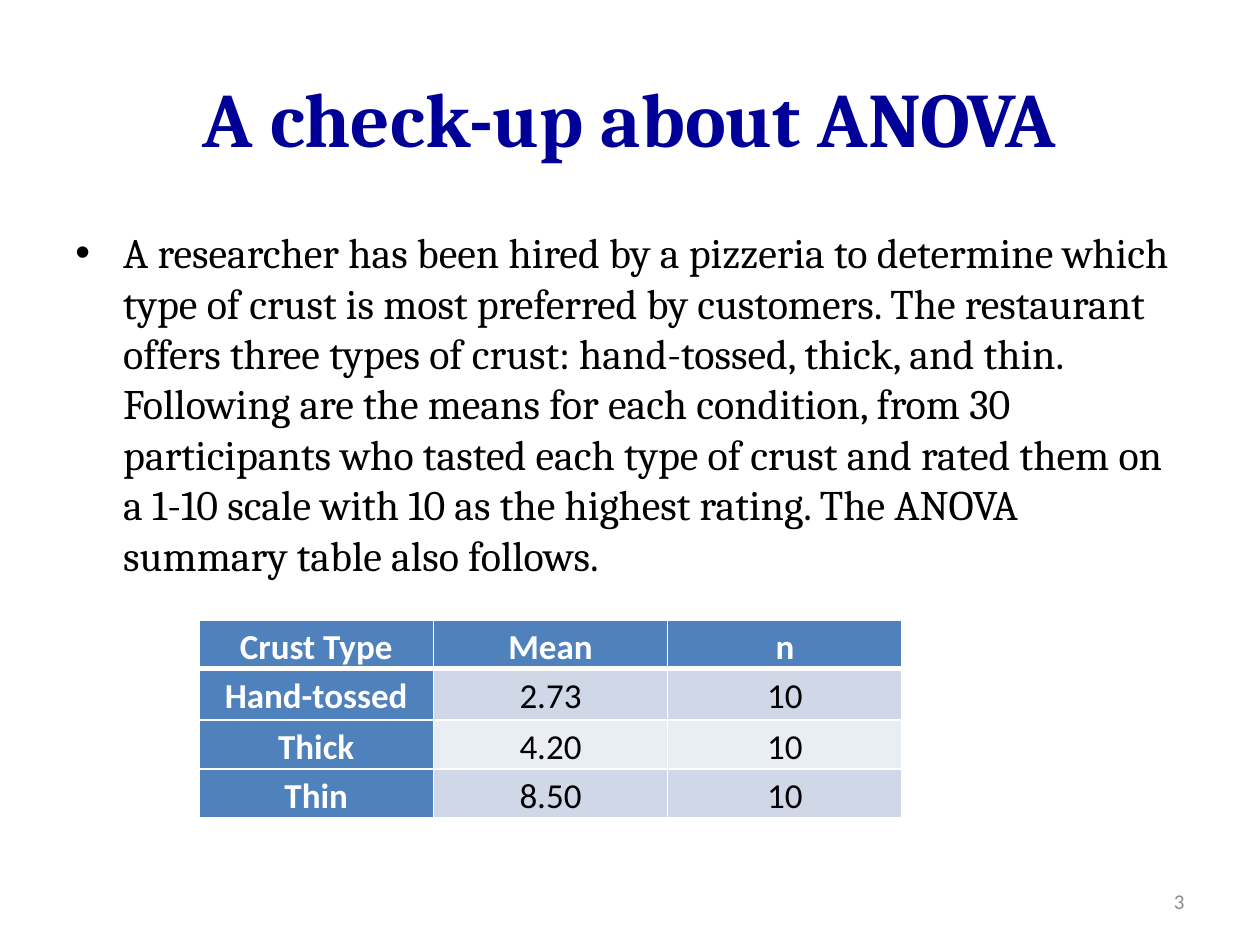
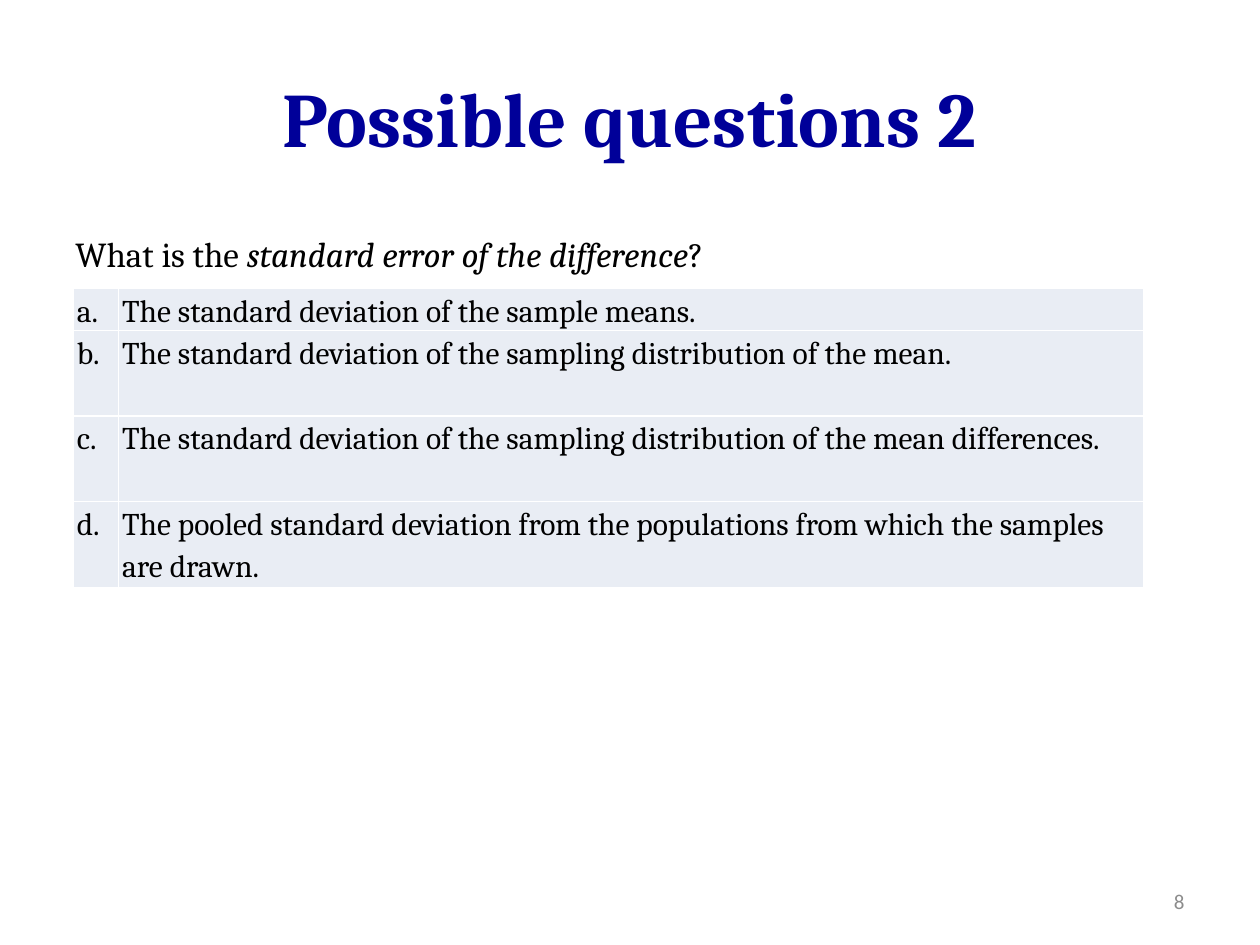
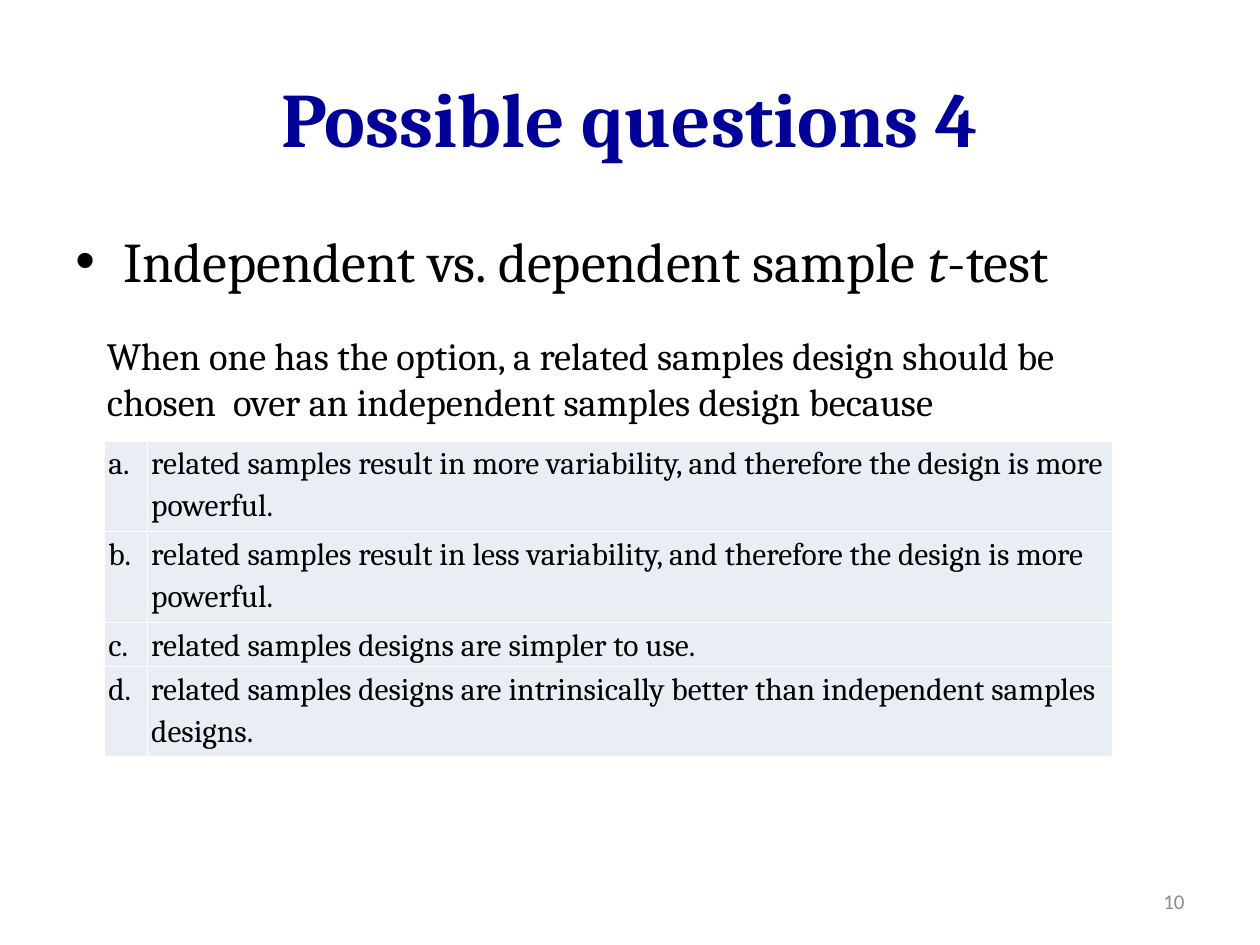
import pptx
import pptx.dml.color
import pptx.enum.text
import pptx.oxml
import pptx.oxml.ns
import pptx.util

RGBColor = pptx.dml.color.RGBColor
Inches = pptx.util.Inches
Pt = pptx.util.Pt
ALIGN = pptx.enum.text.PP_ALIGN
ANCHOR = pptx.enum.text.MSO_ANCHOR

NAVY = RGBColor(0x00, 0x00, 0x99)
BLACK = RGBColor(0x00, 0x00, 0x00)
WHITE = RGBColor(0xFF, 0xFF, 0xFF)
GRAY = RGBColor(0x8C, 0x8C, 0x8C)
HEADER_BLUE = RGBColor(0x4F, 0x81, 0xBD)
BAND_DARK = RGBColor(0xD0, 0xD8, 0xE8)
BAND_LIGHT = RGBColor(0xE9, 0xED, 0xF4)

SERIF, SANS = "Cambria", "Calibri"
WIDTH, HEIGHT = 10, 7.5
MARGIN = WIDTH / 20
TITLE_BOX = (MARGIN, 0.3, WIDTH - 2 * MARGIN, 1.25)
BODY_BOX = (MARGIN, 1.75, WIDTH - 2 * MARGIN, 4.95)
NUMBER_BOX = (7.17, 6.95, 2.33, 0.4)
BULLET_INDENT = 0.38

# Text between asterisks is italic.
SLIDES = [
    {
        "title": "A check-up about ANOVA",
        "number": 3,
        "bullet": (
            "A researcher has been hired by a pizzeria to determine which type of crust "
            "is most preferred by customers. The restaurant offers three types of crust: "
            "hand-tossed, thick, and thin. Following are the means for each condition, "
            "from 30 participants who tasted each type of crust and rated them on a 1-10 "
            "scale with 10 as the highest rating. The ANOVA summary table also follows.",
            24,
        ),
        "means": {
            "corner": (1.58, 4.92),
            "columns": [1.86] * 3,
            "rows": [0.38, 0.41, 0.39, 0.39],
            "cells": [
                ("Crust Type", "Mean", "n"),
                ("Hand-tossed", "2.73", "10"),
                ("Thick", "4.20", "10"),
                ("Thin", "8.50", "10"),
            ],
        },
    },
    {
        "title": "Possible questions 2",
        "number": 8,
        "question": ("What is the *standard error of the difference*?", 20,
                     (MARGIN, 1.79, 5.25, 0.44)),
        "answers": {
            "corner": (0.58, 2.29),
            "columns": [0.36, 8.14],
            "rows": [0.33, 0.68, 0.68, 0.68],
            "cells": [
                ("a.", "The standard deviation of the sample means."),
                ("b.", "The standard deviation of the sampling distribution of the mean."),
                ("c.", "The standard deviation of the sampling distribution of the mean "
                       "differences."),
                ("d.", "The pooled standard deviation from the populations from which the "
                       "samples are drawn."),
            ],
        },
    },
    {
        "title": "Possible questions 4",
        "number": 10,
        "bullet": ("Independent vs. dependent sample *t*-test", 32),
        "question": ("When one has the option, a related samples design should be chosen  "
                     "over an independent samples design because", 22,
                     (0.75, 2.58, 8.17, 0.84)),
        "answers": {
            "corner": (0.83, 3.5),
            "columns": [0.34, 7.66],
            "rows": [0.72, 0.72, 0.35, 0.72],
            "cells": [
                ("a.", "related samples result in more variability, and therefore the "
                       "design is more powerful."),
                ("b.", "related samples result in less variability, and therefore the "
                       "design is more powerful."),
                ("c.", "related samples designs are simpler to use."),
                ("d.", "related samples designs are intrinsically better than independent "
                       "samples designs."),
            ],
        },
    },
]


def set_font(paragraph, name, size, color, bold=False):
    font = paragraph.font
    font.name, font.size, font.bold = name, Pt(size), bold
    font.color.rgb = color


def add_text(slide, box, text, size, name=SERIF, color=BLACK, anchor=ANCHOR.MIDDLE):
    """Add a wrapped text box and return its only paragraph."""
    frame = slide.shapes.add_textbox(*map(Inches, box)).text_frame
    frame.word_wrap = True
    frame.vertical_anchor = anchor
    paragraph = frame.paragraphs[0]
    set_font(paragraph, name, size, color)
    for position, part in enumerate(text.split("*")):
        run = paragraph.add_run()
        run.text = part
        if position % 2:
            run.font.italic = True
    return paragraph


def add_bullet(slide, text, size):
    paragraph = add_text(slide, BODY_BOX, text, size, anchor=ANCHOR.TOP)
    paragraph.space_before = Pt(0.2 * size)
    properties = paragraph._p.get_or_add_pPr()
    properties.set("marL", str(Inches(BULLET_INDENT)))
    properties.set("indent", str(-Inches(BULLET_INDENT)))
    namespace = pptx.oxml.ns.nsdecls("a")
    for xml in (f'<a:buFont {namespace} typeface="Arial"/>',
                f'<a:buChar {namespace} char="•"/>'):
        properties.insert_element_before(pptx.oxml.parse_xml(xml), "a:tabLst", "a:defRPr")


def set_borders(cell, widths):
    """Draw white borders; widths are points for left, right, top and bottom."""
    properties = cell._tc.get_or_add_tcPr()
    for position, (side, width) in enumerate(zip("LRTB", widths)):
        properties.insert(position, pptx.oxml.parse_xml(
            f'<a:ln{side} {pptx.oxml.ns.nsdecls("a")} w="{Pt(width)}">'
            f'<a:solidFill><a:srgbClr val="{WHITE}"/></a:solidFill></a:ln{side}>'))


def add_table(slide, content, style_cell, inset):
    """style_cell(row, column) gives fill, font, size, colour, bold, alignment, borders."""
    columns, rows = content["columns"], content["rows"]
    box = (*content["corner"], sum(columns), sum(rows))
    table = slide.shapes.add_table(len(rows), len(columns), *map(Inches, box)).table
    for column, width in zip(table.columns, columns):
        column.width = Inches(width)
    for row, height in zip(table.rows, rows):
        row.height = Inches(height)
    for row, texts in enumerate(content["cells"]):
        for column, text in enumerate(texts):
            fill, name, size, color, bold, alignment, borders = style_cell(row, column)
            cell = table.cell(row, column)
            cell.margin_left = cell.margin_right = Inches(inset)
            cell.margin_top = cell.margin_bottom = 0
            cell.fill.solid()
            cell.fill.fore_color.rgb = fill
            set_borders(cell, borders)
            cell.text = text
            paragraph = cell.text_frame.paragraphs[0]
            paragraph.alignment = alignment
            paragraph.line_spacing = 1.15
            set_font(paragraph, name, size, color, bold)


def means_style(row, column):
    heading = row == 0 or column == 0
    fill = HEADER_BLUE if heading else BAND_DARK if row % 2 else BAND_LIGHT
    borders = (1, 1, 3 if row == 1 else 1, 3 if row == 0 else 1)
    return fill, SANS, 20, WHITE if heading else BLACK, heading, ALIGN.CENTER, borders


def answers_style(row, column):
    return BAND_LIGHT, SERIF, 18, BLACK, False, ALIGN.LEFT, (1, 1, 1, 1)


def add_slide(presentation, content):
    slide = presentation.slides.add_slide(presentation.slide_layouts.get_by_name("Title Only"))
    title = slide.shapes.title
    title.left, title.top, title.width, title.height = map(Inches, TITLE_BOX)
    title.text_frame.text = content["title"]
    title.text_frame.vertical_anchor = ANCHOR.MIDDLE
    heading = title.text_frame.paragraphs[0]
    heading.alignment = ALIGN.CENTER
    set_font(heading, SERIF, 44, NAVY, bold=True)

    if "bullet" in content:
        add_bullet(slide, *content["bullet"])
    if "means" in content:
        add_table(slide, content["means"], means_style, 0.07)
    if "answers" in content:
        add_table(slide, content["answers"], answers_style, 0.03)
    if "question" in content:
        text, size, box = content["question"]
        add_text(slide, box, text, size)
    number = add_text(slide, NUMBER_BOX, str(content["number"]), 12, SANS, GRAY)
    number.alignment = ALIGN.RIGHT


def main():
    presentation = pptx.Presentation()
    presentation.slide_width, presentation.slide_height = Inches(WIDTH), Inches(HEIGHT)
    for content in SLIDES:
        add_slide(presentation, content)
    presentation.save("out.pptx")


if __name__ == "__main__":
    main()
